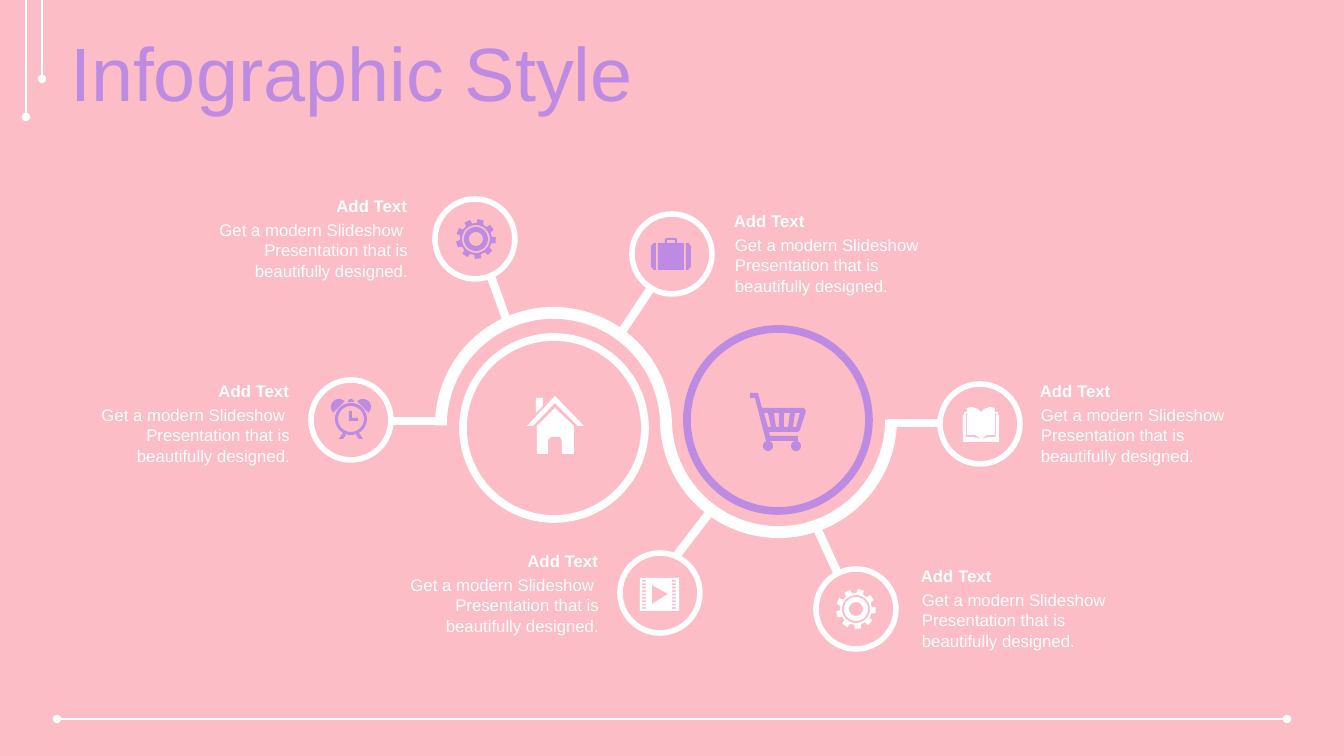
from math import cos, radians, sin

from pptx import Presentation
from pptx.dml.color import RGBColor
from pptx.enum.shapes import MSO_CONNECTOR, MSO_SHAPE
from pptx.enum.text import MSO_ANCHOR, MSO_AUTO_SIZE, PP_ALIGN
from pptx.oxml.ns import qn
from pptx.util import Pt
from lxml import etree

PX = 914400 / 100.8
PINK = RGBColor(0xFD, 0xBD, 0xC7)
PURPLE = RGBColor(0xBE, 0x8B, 0xE2)
WHITE = RGBColor(0xFF, 0xFF, 0xFF)
FONT = "Arial"
LEFT, RIGHT = PP_ALIGN.LEFT, PP_ALIGN.RIGHT
STRAIGHT = MSO_CONNECTOR.STRAIGHT
OVAL, BLOCK_ARC = MSO_SHAPE.OVAL, MSO_SHAPE.BLOCK_ARC


def arc(cx, cy, radius, start=0, end=360):
    """Points along a clockwise arc, angles in degrees from the right."""
    steps = 36
    angles = [radians(start + (end - start) * i / steps) for i in range(steps + 1)]
    return [(cx + radius * cos(a), cy + radius * sin(a)) for a in angles]


def mirror(contour, axis):
    """The contour reflected in the vertical line x = axis."""
    return [(2 * axis - x, y) for x, y in contour]


prs = Presentation()
prs.slide_width, prs.slide_height = round(1344 * PX), round(756 * PX)
slide = prs.slides.add_slide(prs.slide_layouts[5])
shapes = slide.shapes
slide.background.fill.solid()
slide.background.fill.fore_color.rgb = PINK

# Title
title = shapes.title
title.left, title.top, title.width, title.height = [
    round(v * PX) for v in (60, 37, 1283, 80)]
title.text_frame.vertical_anchor = MSO_ANCHOR.MIDDLE
title.text_frame.auto_size = MSO_AUTO_SIZE.NONE
heading = title.text_frame.paragraphs[0]
heading.alignment = LEFT
heading.line_spacing = 0.9
run = heading.add_run()
run.text = "Infographic Style"
run.font.name, run.font.size = FONT, Pt(54)
run.font.color.rgb = PURPLE

# Frame lines with round ends, then spokes: ends, width in points, round ends
LINES = [
    (57, 719, 1287, 719, 2, ("headEnd", "tailEnd")),
    (26, 0, 26, 117, 2, ("tailEnd",)),
    (42, 0, 42, 79, 2, ("tailEnd",)),
    (888, 423, 940, 423, 6, ()),
    (816, 526, 838, 574, 6, ()),
    (710, 512, 677, 555, 6, ()),
    (444, 421, 392, 421, 6, ()),
    (507, 321, 490, 274, 6, ()),
    (619, 336, 651, 288, 6, ()),
]
for x1, y1, x2, y2, width, round_ends in LINES:
    line = shapes.add_connector(STRAIGHT, *[round(v * PX) for v in (x1, y1, x2, y2)])
    line.line.color.rgb = WHITE
    line.line.width = Pt(width)
    properties = line.element.spPr
    for end in round_ends:
        etree.SubElement(properties.find(qn("a:ln")), qn("a:" + end), type="oval")
    etree.SubElement(properties, qn("a:effectLst"))

# Rings: left, top, diameter, line width in points, colour
RINGS = [(463, 337, 182, 5.5, WHITE), (687, 329, 182, 5.5, PURPLE)]
RINGS += [(x, y, 80, 4, WHITE) for x, y in (
    (940, 384), (816, 569), (620, 553), (311, 380), (435, 199), (632, 214))]
for x, y, size, width, color in RINGS:
    ring = shapes.add_shape(OVAL, *[round(v * PX) for v in (x, y, size, size)])
    ring.shadow.inherit = False
    ring.fill.background()
    ring.line.color.rgb = color
    ring.line.width = Pt(width)

# The two halves of the wave
for x, y, rotation in ((435, 307, 0), (660, 301, 180)):
    half = shapes.add_shape(BLOCK_ARC, *[round(v * PX) for v in (x, y, 237, 237)])
    half.shadow.inherit = False
    half.rotation = rotation
    for i, value in enumerate((108, 215.66, 0.05)):
        half.adjustments[i] = value
    half.fill.solid()
    half.fill.fore_color.rgb = WHITE
    half.line.fill.background()

# Captions: left and top of the heading, alignment
BODY = "Get a modern Slideshow  Presentation that is beautifully designed."
CAPTIONS = [
    (80, 376, RIGHT), (198, 191, RIGHT), (389, 546, RIGHT),
    (724, 206, LEFT), (1030, 376, LEFT), (911, 561, LEFT),
]
for x, y, alignment in CAPTIONS:
    for dx, dy, height, words, bold in (
            (0, 0, 30, "Add Text", True), (1, 24, 72, BODY, False)):
        caption = shapes.add_textbox(
            *[round(v * PX) for v in (x + dx, y + dy, 219, height)])
        caption.text_frame.word_wrap = True
        paragraph = caption.text_frame.paragraphs[0]
        paragraph.alignment = alignment
        run = paragraph.add_run()
        run.text = words
        run.font.name, run.font.size, run.font.bold = FONT, Pt(12), bold
        run.font.color.rgb = WHITE

# Icons as lists of contours; an inner contour is a hole
house = [
    [(536, 398), (543, 398), (543, 406), (536, 413)],
    [(555, 396), (584, 426), (578, 426), (555, 403), (533, 426), (527, 426)],
    [(555, 408), (574, 426), (574, 454), (562, 454), (562, 440), (560, 437),
     (551, 437), (548, 440), (548, 454), (537, 454), (537, 426)],
]
cart = [
    [(750, 393), (758, 393), (762, 408), (804, 408), (806, 411), (800, 430),
     (798, 432), (769, 432), (770, 436), (798, 436), (798, 441), (766, 441),
     (755, 398), (750, 398)],
    [(764, 413), (768, 427), (771, 427), (768, 413)],
    [(774, 413), (776, 427), (779, 427), (779, 413)],
    [(784, 413), (784, 427), (788, 427), (790, 413)],
    [(795, 413), (793, 427), (796, 427), (800, 413)],
    arc(768, 446, 5), arc(796, 446, 5),
]
bell = arc(339, 407, 8, 135, 315)
leg = [(343, 433), (339, 439), (343, 439), (346, 435)]
clock = [
    arc(351, 419, 16), arc(351, 419, 13), arc(351, 402, 3, 180, 360),
    [(349, 411), (352, 411), (352, 418), (358, 418), (358, 421), (349, 421)],
    bell, mirror(bell, 351), leg, mirror(leg, 351),
]
film = [
    [(640, 578), (679, 578), (679, 611), (640, 611)],
    [(652, 585), (652, 604), (668, 594)],
]
for row in range(9):
    y = 580 + 3.4 * row
    film += [[(x, y), (x + 4, y), (x + 4, y + 1.7), (x, y + 1.7)] for x in (642, 672)]
case_side = [(656, 243), (656, 270), (654, 270), (651, 267), (651, 246), (654, 243)]
suitcase = [
    [(658, 243), (665, 243), (665, 239), (667, 238), (676, 238), (677, 239),
     (677, 243), (684, 243), (684, 270), (658, 270)],
    [(667, 243), (667, 240), (675, 240), (675, 243)],
    case_side, mirror(case_side, 671),
]
cover = [(981, 412), (978, 409), (972, 407), (967, 408), (967, 412), (964, 412),
         (964, 415), (963, 415), (963, 442), (981, 442)]
page_edge = [(966, 413), (967, 413), (967, 435), (975, 435), (981, 439),
             (973, 437), (966, 437)]
book = [cover + mirror(cover, 981)[::-1], page_edge, mirror(page_edge, 981)]

ICONS = [(house, WHITE), (cart, PURPLE), (clock, PURPLE), (film, WHITE),
         (suitcase, PURPLE), (book, WHITE)]
for cx, cy, color in ((476, 239, PURPLE), (856, 609, WHITE)):
    teeth = []
    for tooth in range(9):
        for turn, radius in ((-12, 16), (-9, 20), (9, 20), (12, 16)):
            angle = radians(40 * tooth - 76 + turn)
            teeth.append((cx + radius * cos(angle), cy + radius * sin(angle)))
    ICONS.append(([teeth] + [arc(cx, cy, r) for r in (14, 12, 7)], color))

for contours, color in ICONS:
    builder = None
    for contour in contours:
        points = [(round(x * PX), round(y * PX)) for x, y in contour]
        if builder is None:
            builder = shapes.build_freeform(*points[0])
        else:
            builder.move_to(*points[0])
        builder.add_line_segments(points[1:], close=True)
    icon = builder.convert_to_shape()
    icon.shadow.inherit = False
    icon.fill.solid()
    icon.fill.fore_color.rgb = color
    icon.line.fill.background()

prs.save("out.pptx")
